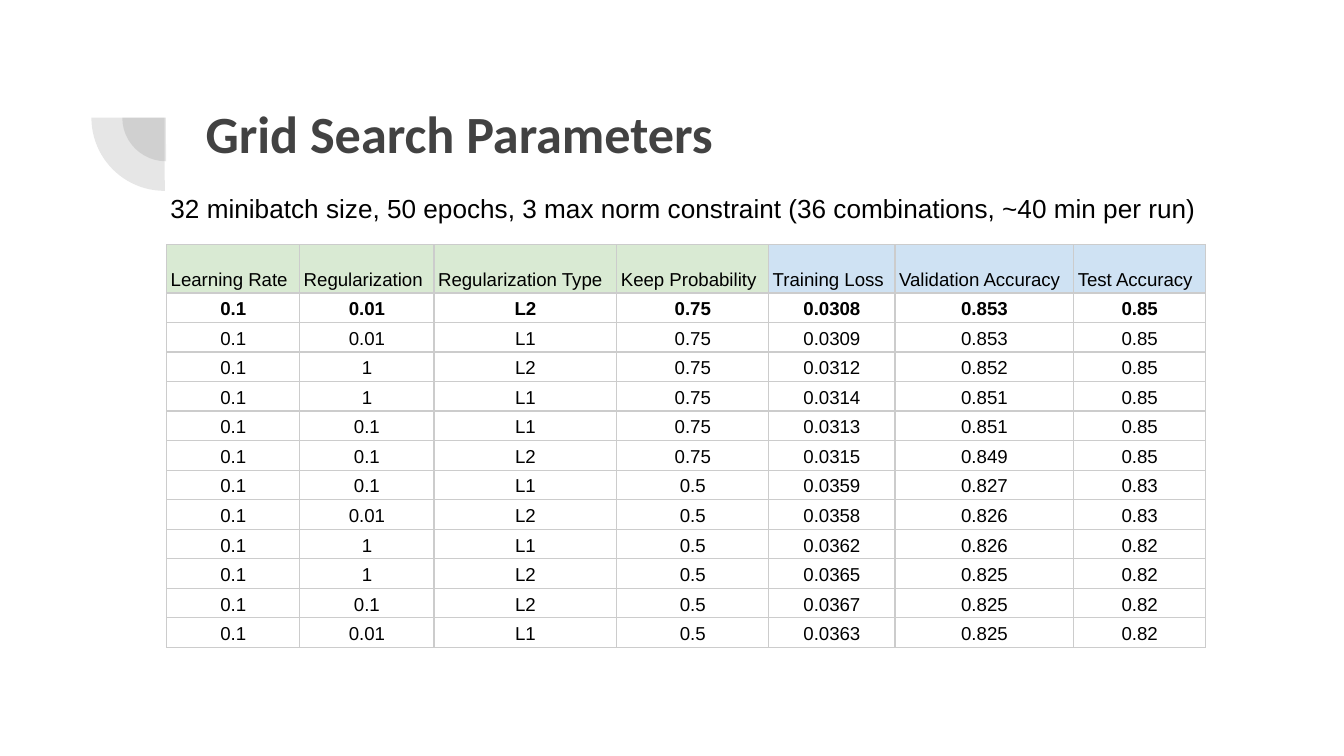
from dataclasses import dataclass
from typing import NamedTuple

from lxml.etree import SubElement
from pptx import Presentation
from pptx.dml.color import RGBColor as RGB
from pptx.enum.shapes import MSO_SHAPE as Shape
from pptx.enum.text import MSO_ANCHOR as Anchor, MSO_AUTO_SIZE as AutoSize, PP_ALIGN as Align
from pptx.oxml.ns import qn
from pptx.util import Inches, Pt


@dataclass(frozen=True)
class Theme:
    dark: str = "424242"
    black: str = "000000"
    parameter: str = "D9EAD3"
    result: str = "CFE2F3"
    border: str = "CCCCCC"
    border_width: float = 0.75
    heading_font: str = "Calibri"
    body_font: str = "Arial"
    title_size: int = 28
    subtitle_size: int = 14
    cell_size: int = 10
    arc_opacity: int = 13


class Column(NamedTuple):
    header: str
    width: float
    fill: str


class Run(NamedTuple):
    learning_rate: str
    regularization: str
    kind: str
    keep: str
    loss: str
    validation: str
    test: str


class Arc(NamedTuple):
    left: float
    top: float
    size: float


THEME = Theme()

SLIDE_WIDTH = Inches(10)
SLIDE_HEIGHT = SLIDE_WIDTH * 9 // 16

ARCS = [Arc(0.91, 0.55, 0.65), Arc(0.68, 0.33, 1.09)]

COLUMNS = [
    Column("Learning Rate", 0.99, THEME.parameter),
    Column("Regularization", 1, THEME.parameter),
    Column("Regularization Type", 1.36, THEME.parameter),
    Column("Keep Probability", 1.13, THEME.parameter),
    Column("Training Loss", 0.94, THEME.result),
    Column("Validation Accuracy", 1.33, THEME.result),
    Column("Test Accuracy", 0.98, THEME.result),
]

RUNS = [
    Run("0.1", "0.01", "L2", "0.75", "0.0308", "0.853", "0.85"),
    Run("0.1", "0.01", "L1", "0.75", "0.0309", "0.853", "0.85"),
    Run("0.1", "1", "L2", "0.75", "0.0312", "0.852", "0.85"),
    Run("0.1", "1", "L1", "0.75", "0.0314", "0.851", "0.85"),
    Run("0.1", "0.1", "L1", "0.75", "0.0313", "0.851", "0.85"),
    Run("0.1", "0.1", "L2", "0.75", "0.0315", "0.849", "0.85"),
    Run("0.1", "0.1", "L1", "0.5", "0.0359", "0.827", "0.83"),
    Run("0.1", "0.01", "L2", "0.5", "0.0358", "0.826", "0.83"),
    Run("0.1", "1", "L1", "0.5", "0.0362", "0.826", "0.82"),
    Run("0.1", "1", "L2", "0.5", "0.0365", "0.825", "0.82"),
    Run("0.1", "0.1", "L2", "0.5", "0.0367", "0.825", "0.82"),
    Run("0.1", "0.01", "L1", "0.5", "0.0363", "0.825", "0.82"),
]

HEADER_HEIGHT = 0.36
ROW_HEIGHT = 0.22


def set_all(target, values: dict) -> None:
    for name, value in values.items():
        setattr(target, name, value)


def write(tf, text: str, font: str, size: float, color: str,
          bold: bool = False, align: Align = Align.LEFT, spacing: float = 1.0) -> None:
    p = tf.paragraphs[0]
    set_all(p, {"alignment": align, "line_spacing": spacing})
    r = p.add_run()
    r.text = text
    set_all(r.font, {"name": font, "size": Pt(size), "bold": bold})
    r.font.color.rgb = RGB.from_string(color)


def format_frame(tf) -> None:
    set_all(tf, {
        "word_wrap": True, "auto_size": AutoSize.NONE, "vertical_anchor": Anchor.TOP,
        "margin_left": Inches(0.1), "margin_right": Inches(0.1),
        "margin_top": Inches(0.1), "margin_bottom": Inches(0.1),
    })


def draw_arc(s, arc: Arc) -> None:
    sp = s.shapes.add_shape(Shape.PIE, Inches(arc.left), Inches(arc.top),
                            Inches(arc.size), Inches(arc.size))
    sp.adjustments[0], sp.adjustments[1] = 107.93, 162
    sp.rotation = 270
    sp.shadow.inherit = False
    sp.line.fill.background()
    sp.fill.solid()
    sp.fill.fore_color.rgb = RGB.from_string(THEME.dark)
    color = sp.fill._xPr.find(qn("a:solidFill")).find(qn("a:srgbClr"))
    SubElement(color, qn("a:alpha"), val=str(THEME.arc_opacity * 1000))


def draw_borders(cell) -> None:
    tc_pr = cell._tc.get_or_add_tcPr()
    for side in ("a:lnL", "a:lnR", "a:lnT", "a:lnB"):
        ln = SubElement(tc_pr, qn(side), w=str(Pt(THEME.border_width)))
        fill = SubElement(ln, qn("a:solidFill"))
        SubElement(fill, qn("a:srgbClr"), val=THEME.border)


def draw_cell(cell, text: str, fill: str | None, bold: bool, align: Align) -> None:
    set_all(cell, {
        "vertical_anchor": Anchor.BOTTOM,
        "margin_left": Inches(0.03), "margin_right": Inches(0.03),
        "margin_top": Inches(0.02), "margin_bottom": Inches(0.02),
    })
    write(cell.text_frame, text, THEME.body_font, THEME.cell_size, THEME.black, bold, align, 1.15)
    draw_borders(cell)
    if fill:
        cell.fill.solid()
        cell.fill.fore_color.rgb = RGB.from_string(fill)
    else:
        cell.fill.background()


def draw_table(s, left: float, top: float) -> None:
    width = sum(column.width for column in COLUMNS)
    height = HEADER_HEIGHT + ROW_HEIGHT * len(RUNS)
    table = s.shapes.add_table(len(RUNS) + 1, len(COLUMNS), Inches(left), Inches(top),
                               Inches(width), Inches(height)).table
    set_all(table, {"first_row": False, "horz_banding": False})
    for i, row in enumerate(table.rows):
        row.height = Inches(ROW_HEIGHT if i else HEADER_HEIGHT)
    for j, column in enumerate(COLUMNS):
        table.columns[j].width = Inches(column.width)
        draw_cell(table.cell(0, j), column.header, column.fill, False, Align.LEFT)
        for i, run in enumerate(RUNS, 1):
            draw_cell(table.cell(i, j), run[j], None, i == 1, Align.CENTER)


def main() -> None:
    prs = Presentation()
    set_all(prs, {"slide_width": SLIDE_WIDTH, "slide_height": SLIDE_HEIGHT})
    s = prs.slides.add_slide(prs.slide_layouts[5])

    for arc in ARCS:
        draw_arc(s, arc)

    title = s.shapes.title
    set_all(title, {"left": Inches(1.43), "top": Inches(0.65),
                    "width": Inches(7.69), "height": Inches(1.09)})
    format_frame(title.text_frame)
    write(title.text_frame, "Grid Search Parameters", THEME.heading_font,
          THEME.title_size, THEME.dark, bold=True)

    draw_table(s, 1.24, 1.82)

    subtitle = s.shapes.add_textbox(Inches(1.17), Inches(1.33), Inches(7.87), Inches(0.43))
    format_frame(subtitle.text_frame)
    write(subtitle.text_frame,
          "32 minibatch size, 50 epochs, 3 max norm constraint (36 combinations, ~40 min per run)",
          THEME.body_font, THEME.subtitle_size, THEME.black)

    prs.save("out.pptx")


if __name__ == "__main__":
    main()
